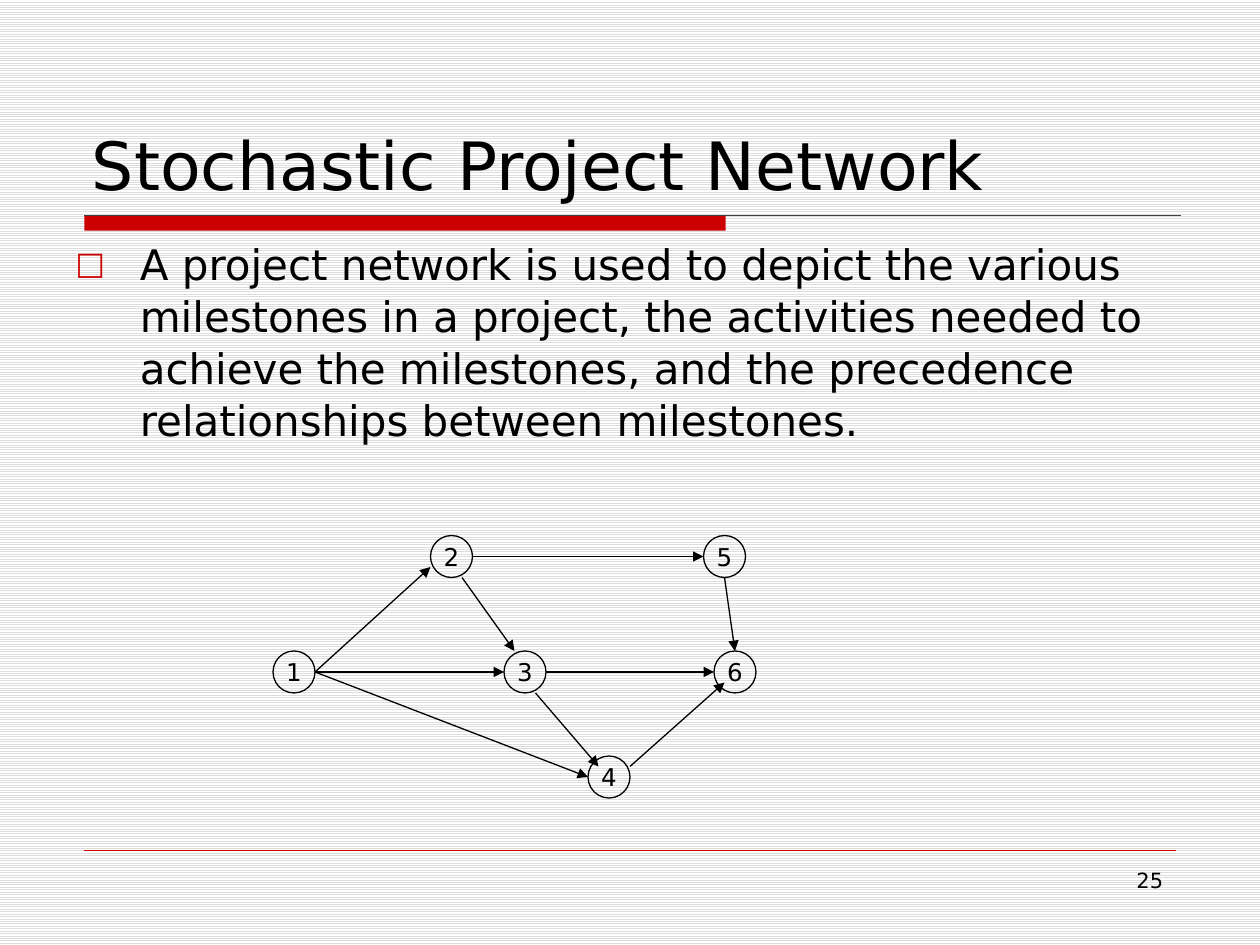
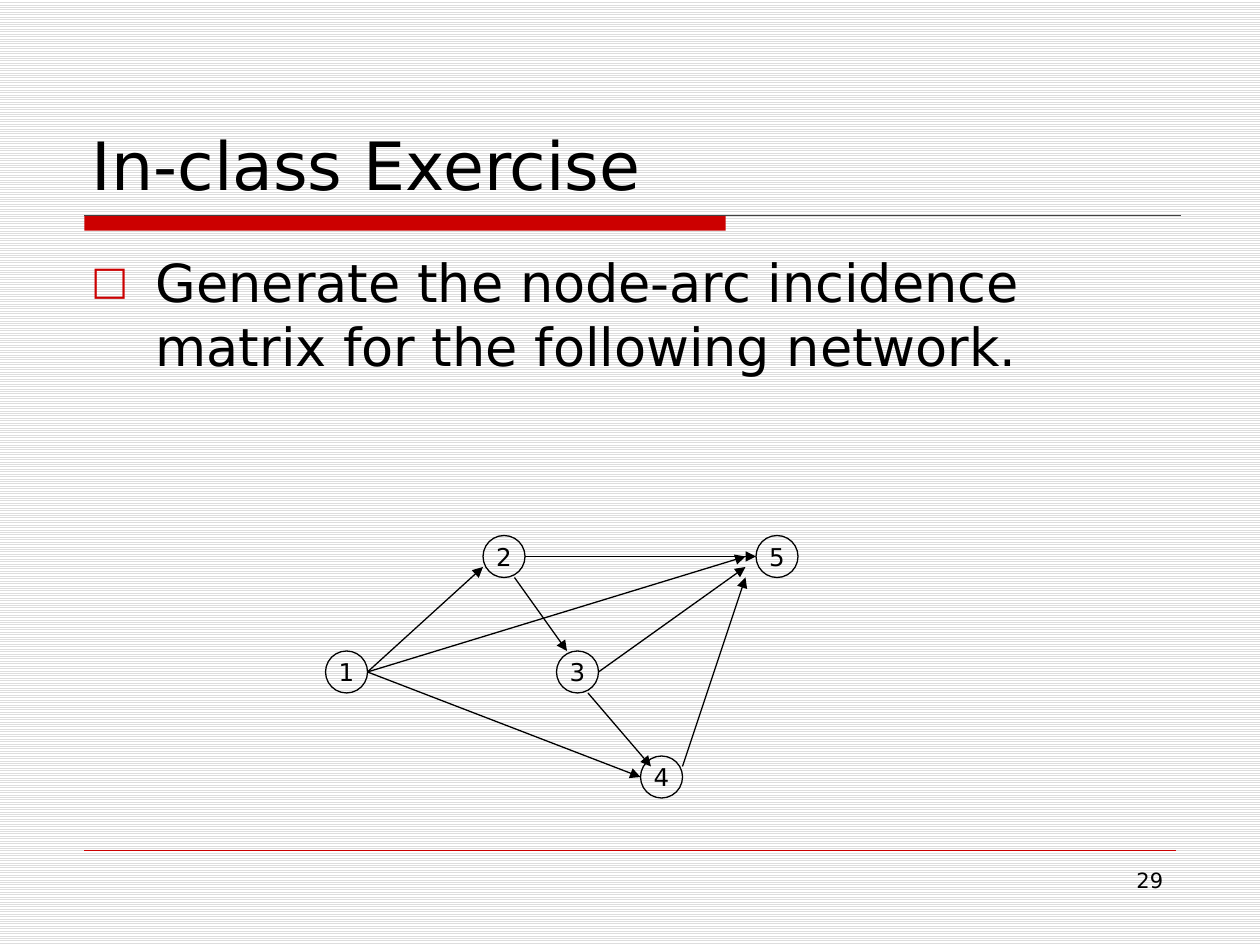
from lxml.etree import SubElement
from pptx import Presentation
from pptx.dml.color import RGBColor
from pptx.enum.dml import MSO_PATTERN
from pptx.enum.shapes import MSO_CONNECTOR, MSO_SHAPE
from pptx.enum.text import MSO_ANCHOR, MSO_AUTO_SIZE, PP_ALIGN
from pptx.oxml.ns import qn
from pptx.util import Cm, Pt

THEME = {
    "font": "DejaVu Sans",
    "ink": RGBColor(0x00, 0x00, 0x00),
    "accent": RGBColor(0xCC, 0x00, 0x00),
    "rule": RGBColor(0x40, 0x40, 0x40),
    "stripe": RGBColor(0xDD, 0xDD, 0xDD),
    "paper": RGBColor(0xFF, 0xFF, 0xFF),
    "title": Pt(38),
    "node": Pt(14),
    "page": Pt(12),
}

# Networks lie on a grid of twelfths of an inch; a node is four units wide.
GRID = Cm(2.54) // 12
NODE_SIZE = 4
NODES = {1: (26, 62), 2: (41, 51), 3: (48, 62), 4: (56, 72), 5: (67, 51), 6: (68, 62)}

# Each arc: start node, offset from its corner, end node, offset from its corner.
LEFT, RIGHT, TOP, BOTTOM = (0, 2), (4, 2), (2, 0), (2, 4)
SHARED_ARCS = [
    (1, RIGHT, 2, (0, 3)),
    (1, RIGHT, 4, LEFT),
    (2, (3, 4), 3, (1, 0)),
    (3, (3, 4), 4, (1, 1)),
    (2, RIGHT, 5, LEFT),
]

SLIDES = [
    {
        "title": "Stochastic Project Network",
        "body": "A project network is used to depict the various milestones in a project, "
                "the activities needed to achieve the milestones, and the precedence "
                "relationships between milestones.",
        "body_at": (Cm(1.27), Cm(4.66)),
        "body_size": Pt(24),
        "node_count": 6,
        "shift": 0,
        "arcs": [
            (1, RIGHT, 3, LEFT),
            (4, (4, 1), 6, (1, 3)),
            (3, RIGHT, 6, LEFT),
            (5, BOTTOM, 6, TOP),
        ],
        "page": "25",
    },
    {
        "title": "In-class Exercise",
        "body": "Generate the node-arc incidence matrix for the following network.",
        "body_at": (Cm(1.59), Cm(4.87)),
        "body_size": Pt(30),
        "node_count": 5,
        "shift": 5,
        "arcs": [
            (4, (4, 1), 5, (-1, 4)),
            (3, RIGHT, 5, (-1, 3)),
            (1, RIGHT, 5, (-1, 2)),
        ],
        "page": "29",
    },
]


def write(shape, text, size, align=PP_ALIGN.LEFT, **frame_format):
    """Put one paragraph in the shape and return it."""
    frame = shape.text_frame
    frame.text = text
    frame_format = {"word_wrap": True, "auto_size": MSO_AUTO_SIZE.NONE, **frame_format}
    for name, value in frame_format.items():
        setattr(frame, name, value)
    paragraph = frame.paragraphs[0]
    paragraph.alignment = align
    font = paragraph.runs[0].font
    for name, value in {"name": THEME["font"], "size": size}.items():
        setattr(font, name, value)
    font.color.rgb = THEME["ink"]
    return paragraph


def draw_line(shapes, start, end, color, width, arrow=False):
    line = shapes.add_connector(MSO_CONNECTOR.STRAIGHT, *start, *end)
    line.line.color.rgb = color
    line.line.width = width
    properties = line._element.spPr
    if arrow:
        SubElement(properties.find(qn("a:ln")), qn("a:tailEnd"), type="triangle")
    SubElement(properties, qn("a:effectLst"))


presentation = Presentation()
presentation.slide_width = Cm(25.4)
presentation.slide_height = Cm(19.05)

background = presentation.slide_master.background.fill
background.patterned()
background.pattern = MSO_PATTERN.LIGHT_HORIZONTAL
background.fore_color.rgb = THEME["stripe"]
background.back_color.rgb = THEME["paper"]

title_only = presentation.slide_layouts.get_by_name("Title Only")

for content in SLIDES:
    slide = presentation.slides.add_slide(title_only)
    shapes = slide.shapes

    # Band under the title and rule above the footer
    band = shapes.add_shape(MSO_SHAPE.RECTANGLE, Cm(1.7), Cm(4.34), Cm(12.93), Cm(0.31))
    band.shadow.inherit = False
    band.fill.solid()
    band.fill.fore_color.rgb = THEME["accent"]
    band.line.fill.background()
    draw_line(shapes, (Cm(1.7), Cm(4.34)), (Cm(23.8), Cm(4.34)), THEME["rule"], Pt(0.75))
    draw_line(shapes, (Cm(1.7), Cm(17.15)), (Cm(23.7), Cm(17.15)), THEME["accent"], Pt(0.25))

    title = shapes.title
    title_box = {"left": Cm(1.6), "top": Cm(0.85), "width": Cm(22.22), "height": Cm(3.39)}
    for name, value in title_box.items():
        setattr(title, name, value)
    write(title, content["title"], THEME["title"], vertical_anchor=MSO_ANCHOR.BOTTOM)

    # Bulleted statement
    body = shapes.add_textbox(*content["body_at"], Cm(22.22), Cm(11.86))
    paragraph = write(body, content["body"], content["body_size"])
    paragraph.line_spacing = 1.03
    bullet = paragraph._p.get_or_add_pPr()
    bullet.set("marL", str(Cm(1.3)))
    bullet.set("indent", str(-Cm(1.3)))
    bullet_color = SubElement(bullet, qn("a:buClr"))
    SubElement(bullet_color, qn("a:srgbClr"), val=str(THEME["accent"]))
    SubElement(bullet, qn("a:buSzPct"), val="75000")
    SubElement(bullet, qn("a:buFont"), typeface=THEME["font"])
    SubElement(bullet, qn("a:buChar"), char="□")

    # Network of numbered nodes and arcs
    network = shapes.add_group_shape().shapes
    corners = {
        number: (NODES[number][0] + content["shift"], NODES[number][1])
        for number in range(1, content["node_count"] + 1)
    }
    for number, (column, row) in corners.items():
        node = network.add_shape(
            MSO_SHAPE.OVAL, column * GRID, row * GRID, NODE_SIZE * GRID, NODE_SIZE * GRID
        )
        node.shadow.inherit = False
        node.fill.background()
        node.line.color.rgb = THEME["ink"]
        node.line.width = Pt(0.75)
        write(node, str(number), THEME["node"], PP_ALIGN.CENTER, word_wrap=False,
              vertical_anchor=MSO_ANCHOR.MIDDLE,
              margin_left=0, margin_right=0, margin_top=0, margin_bottom=0)

    for source, leave, target, arrive in SHARED_ARCS + content["arcs"]:
        start, end = (
            [(corner + offset) * GRID for corner, offset in zip(corners[number], offsets)]
            for number, offsets in ((source, leave), (target, arrive))
        )
        draw_line(network, start, end, THEME["ink"], Pt(0.75), arrow=True)

    page = shapes.add_textbox(Cm(18.2), Cm(17.36), Cm(5.5), Cm(1.32))
    write(page, content["page"], THEME["page"], PP_ALIGN.RIGHT)

presentation.save("out.pptx")
